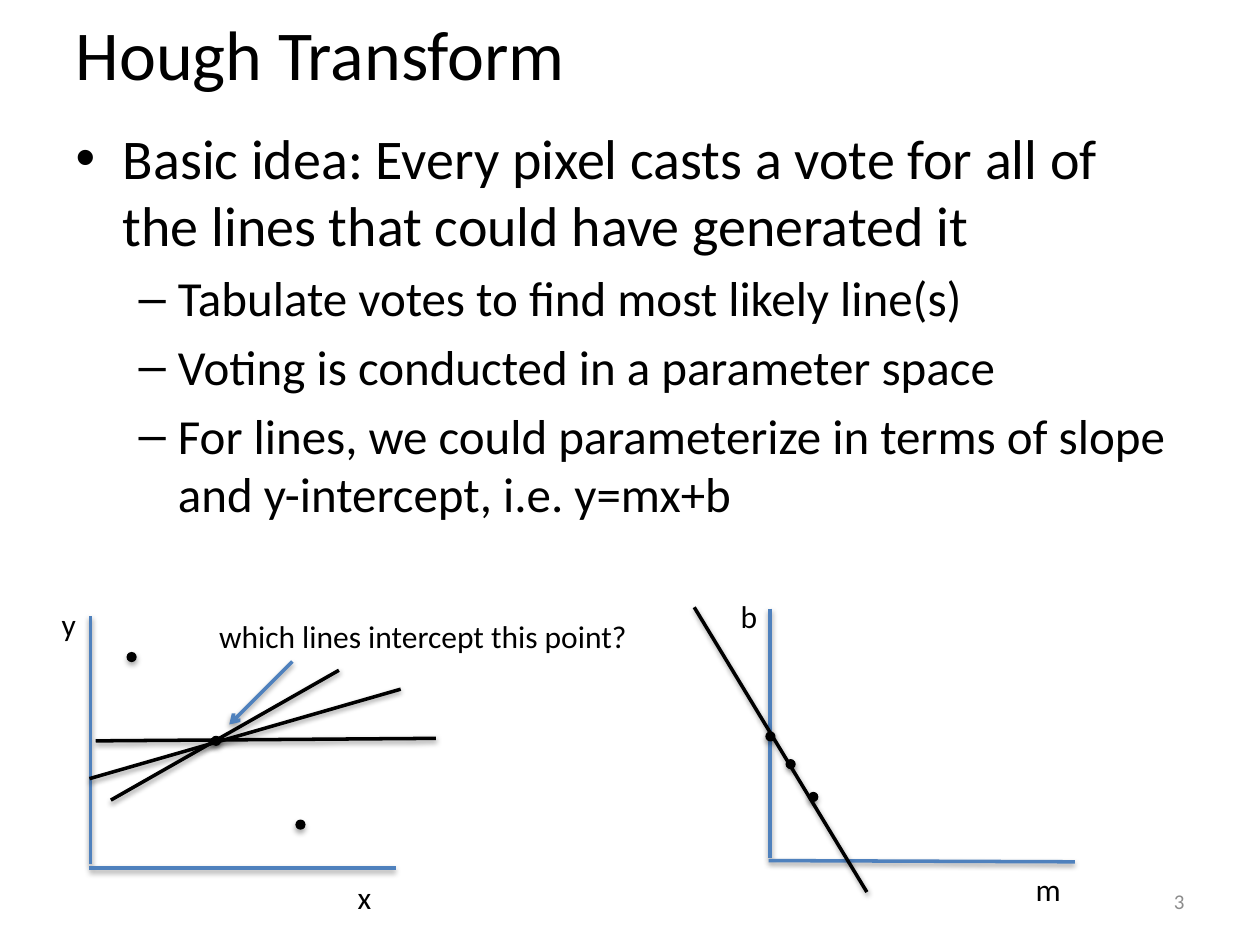
from lxml.etree import SubElement
from pptx import Presentation
from pptx.dml.color import RGBColor
from pptx.enum.shapes import MSO_CONNECTOR, MSO_SHAPE
from pptx.enum.text import MSO_ANCHOR, MSO_AUTO_SIZE, PP_ALIGN
from pptx.oxml.ns import qn
from pptx.util import Inches, Pt

BLACK, BLUE, GREY = "000000", "4F81BD", "8C8C8C"

deck = Presentation()
deck.slide_width, deck.slide_height = Inches(10), Inches(7.5)
column, row = deck.slide_width / 100, deck.slide_height / 75
slide = deck.slides.add_slide(deck.slide_layouts[1])


def paint(color_format, color):
    color_format.rgb = RGBColor.from_string(color)


def write(paragraph, text, size=18, color=BLACK, align=PP_ALIGN.LEFT, level=0):
    paragraph.alignment = align
    paragraph.level = level
    run = paragraph.add_run()
    run.text = text
    run.font.name = "Calibri"
    run.font.size = Pt(size)
    paint(run.font.color, color)


heading, ideas = slide.placeholders
for block, top, height in [(heading, -2.1, 12.5), (ideas, 9.3, 49.5)]:
    block.left, block.top = int(5 * column), int(top * row)
    block.width, block.height = int(90 * column), int(height * row)

heading.text_frame.vertical_anchor = MSO_ANCHOR.MIDDLE
write(heading.text_frame.paragraphs[0], "Hough Transform", size=40)

write(ideas.text_frame.paragraphs[0],
      "Basic idea: Every pixel casts a vote for all of the lines that could have generated it",
      size=32)
for detail in [
    "Tabulate votes to find most likely line(s)",
    "Voting is conducted in a parameter space",
    "For lines, we could parameterize in terms of slope and y-intercept, i.e. y=mx+b",
]:
    write(ideas.text_frame.add_paragraph(), detail, size=28, level=1)

axes = [
    (7.2, 48.9, 7.2, 68.6), (31.4, 68.9, 7.1, 68.9),
    (61.1, 48.3, 61.1, 68.1), (85.3, 68.4, 61, 68.3),
]
pointer = (23.2, 52.5, 18.2, 57.5)
candidate_lines = [
    (7.6, 58.8, 34.6, 58.6), (7.1, 61.8, 31.8, 54.7),
    (8.8, 63.5, 26.9, 53.2), (55.1, 48.2, 68.8, 70.8),
]
image_points = [(10.1 + 6.7 * step, 51.8 + 6.65 * step) for step in range(3)]
votes = [(60.8, 58.1), (62.4, 60.3), (64.2, 62.9)]

marks = []
for color, strokes in [(BLUE, axes + [pointer]), (BLACK, candidate_lines)]:
    for x1, y1, x2, y2 in strokes:
        stroke = slide.shapes.add_connector(
            MSO_CONNECTOR.STRAIGHT,
            int(x1 * column), int(y1 * row), int(x2 * column), int(y2 * row))
        paint(stroke.line.fill.solid() or stroke.line.color, color)
        stroke.line.width = Pt(2)
        if (x1, y1, x2, y2) == pointer:
            SubElement(stroke.line._get_or_add_ln(), qn("a:tailEnd"), type="arrow")
        marks.append((stroke, "38000", 1.6))

for x, y in image_points + votes:
    dot = slide.shapes.add_shape(
        MSO_SHAPE.OVAL, int(x * column), int(y * row), int(0.7 * column), int(0.7 * row))
    dot.fill.solid()
    paint(dot.fill.fore_color, BLACK)
    paint(dot.line.color, BLACK)
    dot.line.width = Pt(0.75)
    marks.append((dot, "35000", 1.8))

for mark, opacity, distance in marks:
    effects = SubElement(mark._element.spPr, qn("a:effectLst"))
    shadow = SubElement(effects, qn("a:outerShdw"), blurRad=str(Pt(3.1)),
                        dist=str(Pt(distance)), dir="5400000", rotWithShape="0")
    shade = SubElement(shadow, qn("a:srgbClr"), val=BLACK)
    SubElement(shade, qn("a:alpha"), val=opacity)

for text, x, y, width in [
    ("y", 3.9, 47.5, 3.4), ("x", 27.4, 69.2, 3.3),
    ("b", 57.8, 46.9, 3.4), ("m", 81.2, 68.6, 4.1),
    ("which lines intercept this point?", 16.4, 48.5, 37.1),
]:
    label = slide.shapes.add_textbox(
        int(x * column), int(y * row), int(width * column), int(4 * row))
    label.text_frame.word_wrap = False
    label.text_frame.auto_size = MSO_AUTO_SIZE.SHAPE_TO_FIT_TEXT
    write(label.text_frame.paragraphs[0], text)

page_number = slide.shapes.add_textbox(
    int(71.7 * column), int(69.5 * row), int(23.3 * column), int(4 * row))
page_number.text_frame.word_wrap = True
page_number.text_frame.vertical_anchor = MSO_ANCHOR.MIDDLE
write(page_number.text_frame.paragraphs[0], "3", size=12, color=GREY, align=PP_ALIGN.RIGHT)

deck.save("out.pptx")
